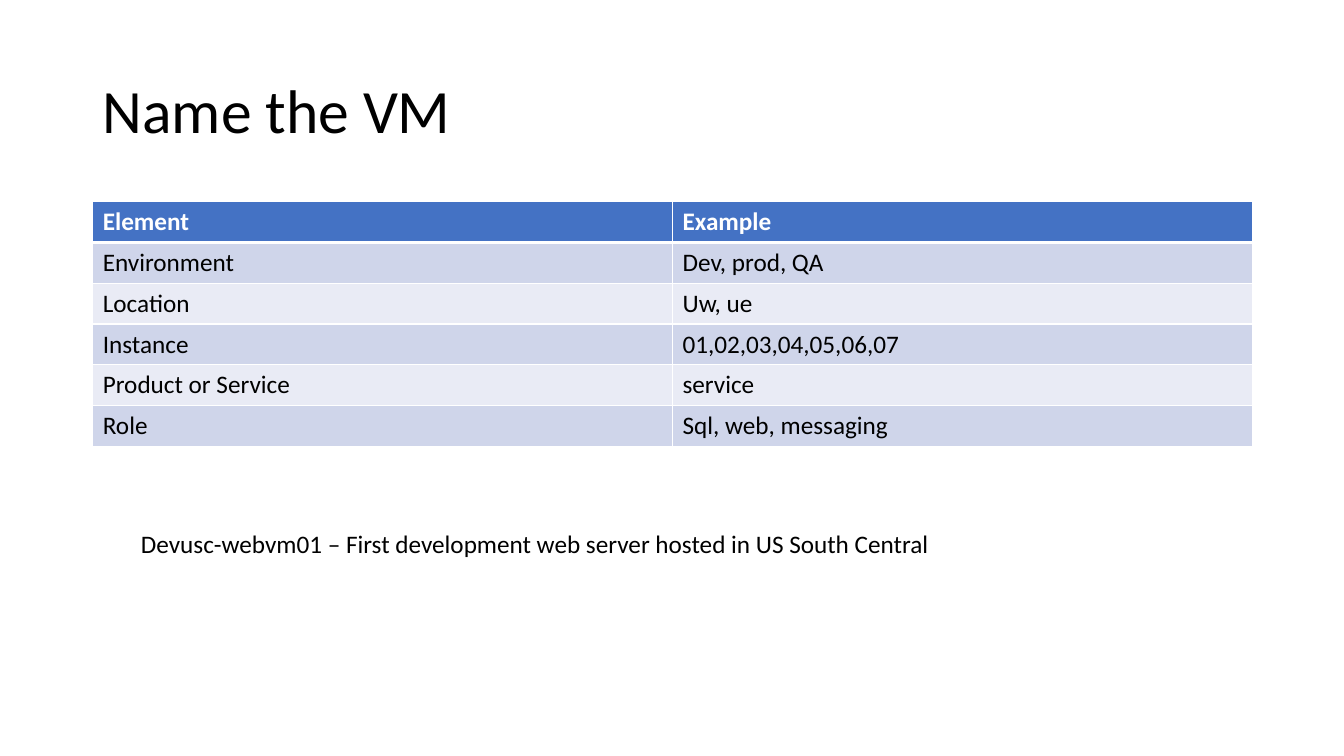
import dataclasses

import lxml.etree
import pptx
import pptx.dml.color
import pptx.enum.text
import pptx.oxml.ns
import pptx.util

Inches = pptx.util.Inches
ANCHOR = pptx.enum.text.MSO_ANCHOR


@dataclasses.dataclass(frozen=True)
class Theme:
    """Colours and type sizes of the slide."""
    font: str = "Calibri"
    title_size: int = 44
    body_size: int = 18
    text: str = "000000"
    header_text: str = "FFFFFF"
    header_fill: str = "4472C4"
    bands: tuple = ("CFD5EA", "E9EBF5")
    border: str = "FFFFFF"
    border_width: int = 1
    header_rule_width: int = 3


THEME = Theme()
LEFT, WIDTH = 0.92, 11.5
ROW_HEIGHT = 0.405
NAMING_ROWS = [
    ("Element", "Example"),
    ("Environment", "Dev, prod, QA"),
    ("Location", "Uw, ue"),
    ("Instance", "01,02,03,04,05,06,07"),
    ("Product or Service", "service"),
    ("Role", "Sql, web, messaging"),
]


def rgb(colour):
    """Turn a hex string into a colour."""
    return pptx.dml.color.RGBColor.from_string(colour)


def write(frame, text, size, colour=THEME.text, bold=False):
    """Put one styled paragraph in a text frame and return it."""
    para = frame.paragraphs[0]
    para.text = text
    para.font.name = THEME.font
    para.font.size = pptx.util.Pt(size)
    para.font.bold = bold
    para.font.color.rgb = rgb(colour)
    return para


def add_text(slide, bounds, text, size, anchor=ANCHOR.TOP, wrap=True):
    """Add a text box and return its paragraph."""
    box = slide.shapes.add_textbox(*map(Inches, bounds))
    box.text_frame.word_wrap = wrap
    box.text_frame.vertical_anchor = anchor
    return write(box.text_frame, text, size)


def add_border(cell, side, width):
    """Draw one cell edge: side is L, R, T or B."""
    properties = cell._tc.get_or_add_tcPr()
    qualify = pptx.oxml.ns.qn
    line = lxml.etree.SubElement(properties, qualify(f"a:ln{side}"),
                                 w=str(pptx.util.Pt(width)))
    fill = lxml.etree.SubElement(line, qualify("a:solidFill"))
    lxml.etree.SubElement(fill, qualify("a:srgbClr"), val=THEME.border)


def style_cell(cell, text, row):
    """Fill, border and write one cell according to its row."""
    is_header = row == 0
    for side in "LRTB":
        under_header = (row, side) in ((0, "B"), (1, "T"))
        add_border(cell, side, THEME.header_rule_width if under_header
                   else THEME.border_width)
    cell.fill.solid()
    cell.fill.fore_color.rgb = rgb(THEME.header_fill if is_header
                                   else THEME.bands[(row - 1) % 2])
    write(cell.text_frame, text, THEME.body_size,
          THEME.header_text if is_header else THEME.text, is_header)


def add_naming_table(slide, top, rows):
    """Add the banded table of name elements and examples."""
    frame = slide.shapes.add_table(
        len(rows), len(rows[0]), Inches(LEFT), Inches(top),
        Inches(WIDTH), Inches(ROW_HEIGHT * len(rows)))
    for row, texts in enumerate(rows):
        for column, text in enumerate(texts):
            style_cell(frame.table.cell(row, column), text, row)


def main():
    """Build and save the slide."""
    deck = pptx.Presentation()
    deck.slide_width, deck.slide_height = Inches(13.33), Inches(7.5)
    slide = deck.slides.add_slide(deck.slide_layouts[6])
    title = add_text(slide, (LEFT, 0.4, WIDTH, 1.45), "Name the VM",
                     THEME.title_size, ANCHOR.MIDDLE)
    title.line_spacing = 0.9
    add_naming_table(slide, 2, NAMING_ROWS)
    add_text(slide, (1.3, 5.19, 8.07, 0.4),
             "Devusc-webvm01 – First development web server hosted in "
             "US South Central", THEME.body_size, wrap=False)
    deck.save("out.pptx")


main()
